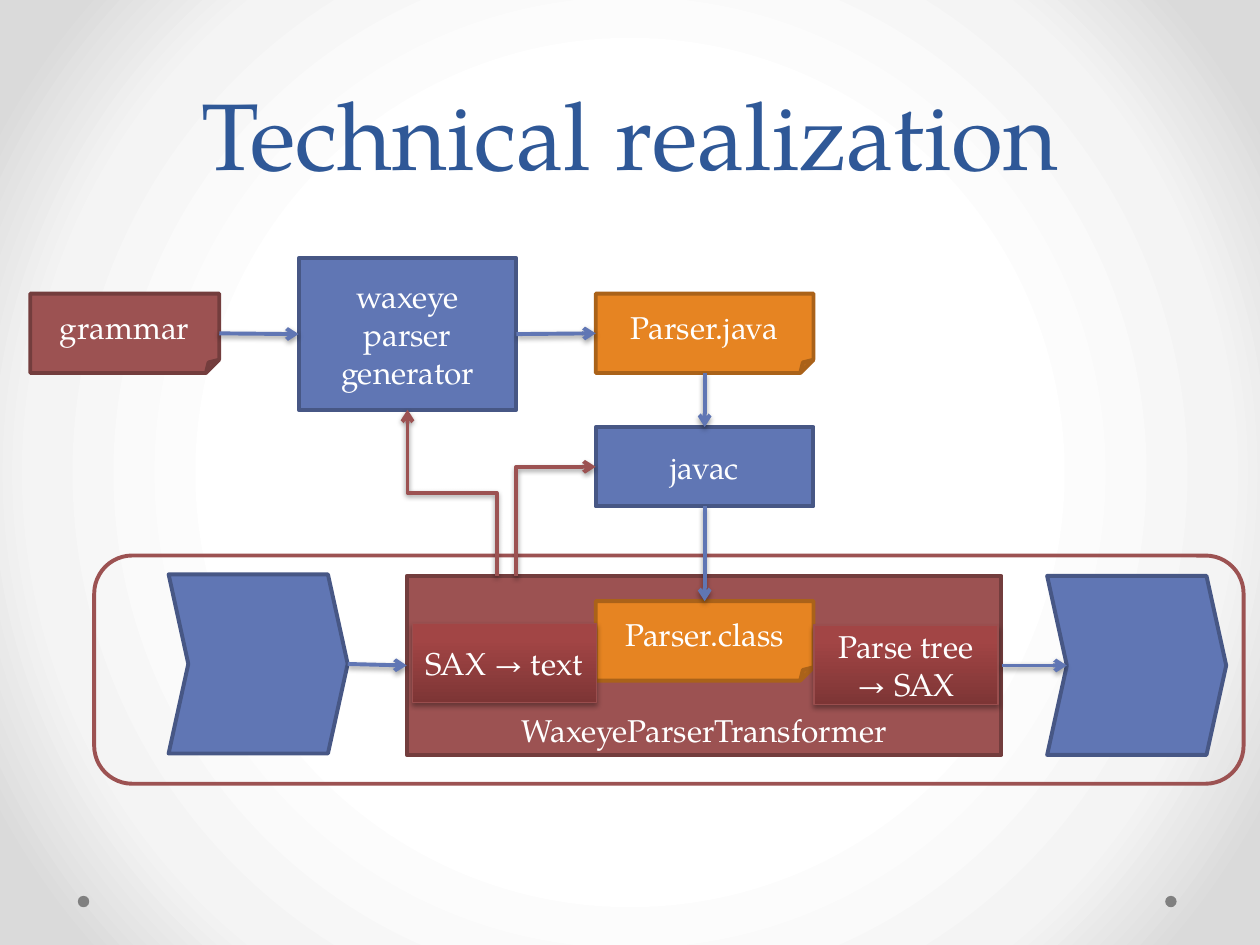
from dataclasses import dataclass
from lxml import etree
from pptx import Presentation
from pptx import util as u
from pptx.dml.color import RGBColor
from pptx.enum import shapes, text
from pptx.oxml import ns

KIND = shapes.MSO_SHAPE
LINK = shapes.MSO_CONNECTOR
ANCHOR = text.MSO_ANCHOR


@dataclass(frozen=True)
class Theme:
    font: str = "TeX Gyre Pagella"
    title_size: int = 54
    title_spacing: int = 58
    body_size: int = 18
    line_width: float = 2.25
    title: str = "2F5897"
    white: str = "FFFFFF"
    dot: str = "808080"
    blue: tuple = ("6076B4", "475785")
    red: tuple = ("9C5252", "733D3D")
    orange: tuple = ("E68422", "AA6219")
    step_line: str = "9A4E4E"
    step: tuple = ((0, "7D3535"), (80, "A24545"), (100, "A44343"))
    backdrop: tuple = ((50, "FFFFFF"), (76, "F4F4F4"), (92, "DADADA"))


theme = Theme()


def rgb(value):
    return RGBColor.from_string(value)


def add_xml(parent, tag, **attributes):
    child = etree.SubElement(parent, ns.qn(tag))
    for name, value in attributes.items():
        child.set(name, str(value))
    return child


def set_gradient(fill, holder, stops, angle=None):
    fill.solid()
    solid = next(holder.iter(ns.qn("a:solidFill")))
    gradient = etree.Element(ns.qn("a:gradFill"), rotWithShape="1")
    stop_list = add_xml(gradient, "a:gsLst")
    for position, color in stops:
        stop = add_xml(stop_list, "a:gs", pos=position * 1000)
        add_xml(stop, "a:srgbClr", val=color)
    if angle is None:
        route = add_xml(gradient, "a:path", path="circle")
        add_xml(route, "a:fillToRect", l=50000, t=50000, r=50000, b=50000)
    else:
        add_xml(gradient, "a:lin", ang=angle * 60000, scaled=0)
    solid.getparent().replace(solid, gradient)


def add_shadow(effects, blur, distance, opacity):
    shadow = add_xml(effects, "a:outerShdw", blurRad=u.Pt(blur), dist=u.Pt(distance),
                     dir=5400000, algn="ctr", rotWithShape=0)
    add_xml(add_xml(shadow, "a:srgbClr", val="000000"), "a:alpha", val=opacity * 1000)


def write(shape, words, size, color, anchor):
    frame = shape.text_frame
    frame.word_wrap = True
    frame.vertical_anchor = anchor
    frame.text = words
    para = frame.paragraphs[0]
    para.alignment = text.PP_ALIGN.CENTER
    for span in para.runs:
        span.font.name = theme.font
        span.font.size = u.Pt(size)
        span.font.color.rgb = rgb(color)
    return para


def add_box(page, kind, area, fill=None, line=None, words="",
            width=theme.line_width, anchor=ANCHOR.MIDDLE):
    box = page.shapes.add_shape(kind, *map(u.Cm, area))
    box.shadow.inherit = False
    if fill:
        box.fill.solid()
        box.fill.fore_color.rgb = rgb(fill)
    else:
        box.fill.background()
    if line:
        box.line.color.rgb = rgb(line)
        box.line.width = u.Pt(width)
    else:
        box.line.fill.background()
    if words:
        write(box, words, theme.body_size, theme.white, anchor)
    return box


def add_step(page, area, words):
    box = add_box(page, KIND.RECTANGLE, area, theme.red[0], theme.step_line, words, 0.75)
    set_gradient(box.fill, box._element.spPr, theme.step, 270)
    add_shadow(box._element.spPr.find(ns.qn("a:effectLst")), 3.1, 1.8, 35)


def add_arrow(page, start, end, color=theme.blue[0], kind=LINK.STRAIGHT):
    arrow = page.shapes.add_connector(kind, *map(int, (*start, *end)))
    arrow.line.color.rgb = rgb(color)
    arrow.line.width = u.Pt(theme.line_width)
    add_xml(arrow.line._get_or_add_ln(), "a:tailEnd", type="arrow")
    add_shadow(add_xml(arrow._element.spPr, "a:effectLst"), 3.1, 1.6, 38)
    return arrow


def add_rising_elbow(page, start, end, preset):
    middle_x, middle_y = (start[0] + end[0]) / 2, (start[1] + end[1]) / 2
    half_rise, half_run = (start[1] - end[1]) / 2, (end[0] - start[0]) / 2
    arrow = add_arrow(page, (middle_x - half_rise, middle_y - half_run),
                      (middle_x + half_rise, middle_y + half_run),
                      theme.red[0], LINK.ELBOW)
    properties = arrow._element.spPr
    properties.find(ns.qn("a:xfrm")).set("rot", str(270 * 60000))
    properties.find(ns.qn("a:prstGeom")).set("prst", preset)


def edge(box, across, down):
    return box.left + box.width * across, box.top + box.height * down


def top(box):
    return edge(box, 0.5, 0)


def bottom(box):
    return edge(box, 0.5, 1)


def left(box):
    return edge(box, 0, 0.5)


def right(box):
    return edge(box, 1, 0.5)


def draw_title(page, area):
    box = page.shapes.add_textbox(*map(u.Cm, area))
    para = write(box, "Technical realization", theme.title_size, theme.title, ANCHOR.BOTTOM)
    para.line_spacing = u.Pt(theme.title_spacing)


def draw_dots(page, x, y, gap):
    for dot_x in (x, x + gap):
        add_box(page, KIND.OVAL, (dot_x, y, 0.23, 0.23), theme.dot)


def draw_build(page, x, y):
    grammar = add_box(page, KIND.FOLDED_CORNER, (x, y + 0.71, 3.81, 1.6),
                      *theme.red, "grammar")
    generator = add_box(page, KIND.RECTANGLE, (x + 5.41, y, 4.39, 3.05),
                        *theme.blue, "waxeye parser generator")
    source = add_box(page, KIND.FOLDED_CORNER, (x + 11.4, y + 0.71, 4.39, 1.6),
                     *theme.orange, "Parser.java")
    compiler = add_box(page, KIND.RECTANGLE, (x + 11.4, y + 3.4, 4.39, 1.6),
                       *theme.blue, "javac")
    add_arrow(page, right(grammar), left(source)[:0] or left(generator))
    add_arrow(page, right(generator), left(source))
    add_arrow(page, bottom(source), top(compiler))
    return generator, compiler


def draw_pipeline(page, x, y):
    add_box(page, KIND.ROUNDED_RECTANGLE, (x, y, 23.17, 4.6), line=theme.red[0])
    transformer = add_box(page, KIND.RECTANGLE, (x + 6.3, y + 0.41, 11.99, 3.61),
                          *theme.red, "WaxeyeParserTransformer", anchor=ANCHOR.BOTTOM)
    parser = add_box(page, KIND.FOLDED_CORNER, (x + 10.11, y + 0.92, 4.39, 1.6),
                     *theme.orange, "Parser.class")
    add_step(page, (x + 6.41, y + 1.37, 3.71, 1.6), "SAX → text")
    add_step(page, (x + 14.51, y + 1.4, 3.71, 1.6), "Parse tree → SAX")
    notch = 0.11
    before, after = [add_box(page, KIND.CHEVRON, (x + dx, y + dy, 3.61, 3.61), *theme.blue)
                     for dx, dy in ((1.5, 0.38), (19.21, 0.41))]
    for chevron in (before, after):
        chevron.adjustments[0] = notch
    add_arrow(page, right(before), left(transformer))
    add_arrow(page, right(transformer), edge(after, notch, 0.5))
    return transformer, parser


def draw_links(page, generator, compiler, transformer, parser):
    add_arrow(page, bottom(compiler), top(parser))
    add_rising_elbow(page, (u.Cm(10.01), transformer.top), bottom(generator), "bentConnector3")
    add_rising_elbow(page, (u.Cm(10.41), transformer.top), left(compiler), "bentConnector2")


deck = Presentation()
deck.slide_width, deck.slide_height = u.Cm(25.4), u.Cm(19.05)
page = deck.slides.add_slide(deck.slide_layouts[6])
set_gradient(page.background.fill, page._element, theme.backdrop)
draw_dots(page, 1.57, 18.06, 21.92)
draw_title(page, (1.27, 0, 22.86, 3.94))
transformer, parser = draw_pipeline(page, 1.9, 11.2)
generator, compiler = draw_build(page, 0.61, 5.21)
draw_links(page, generator, compiler, transformer, parser)
deck.save("out.pptx")
